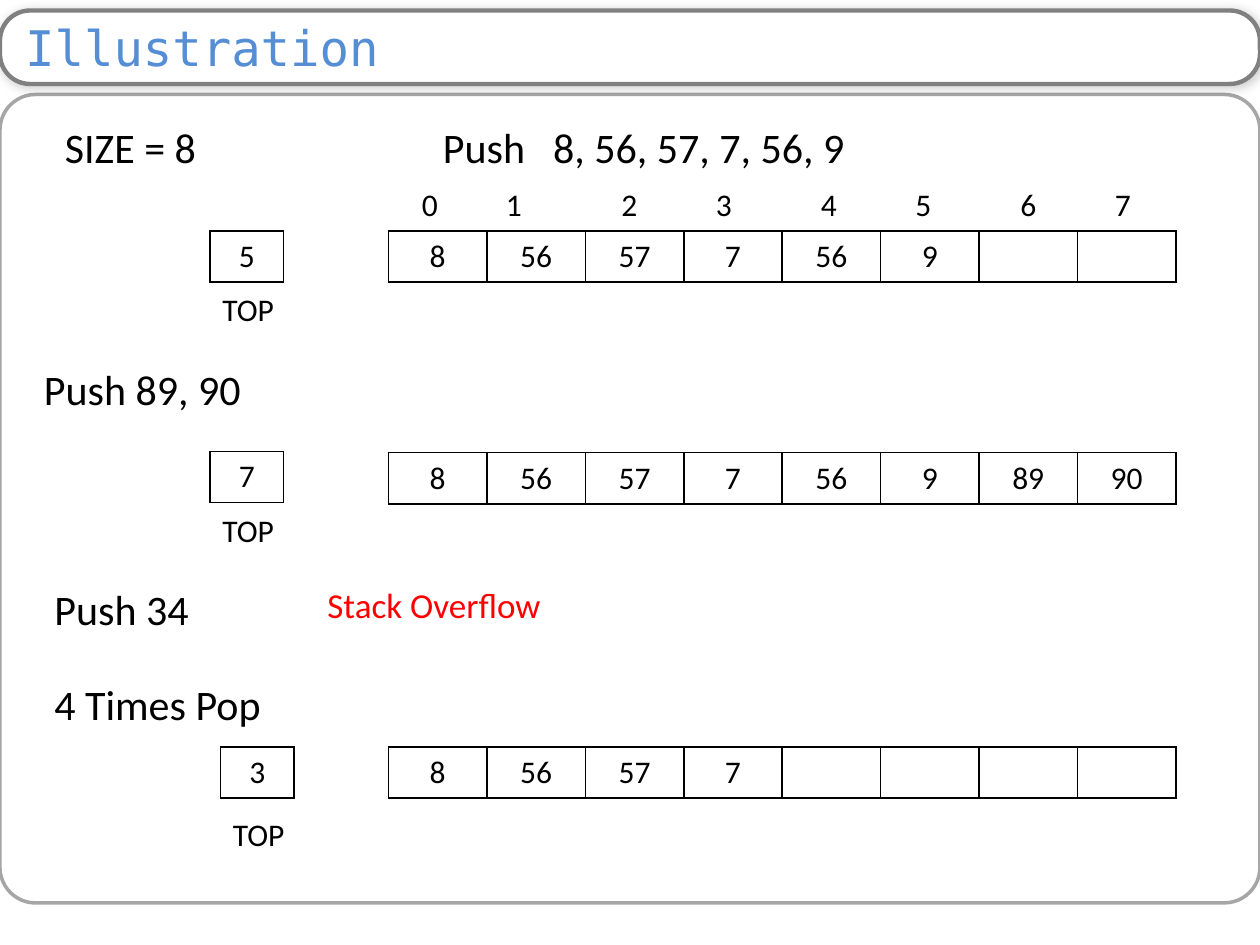
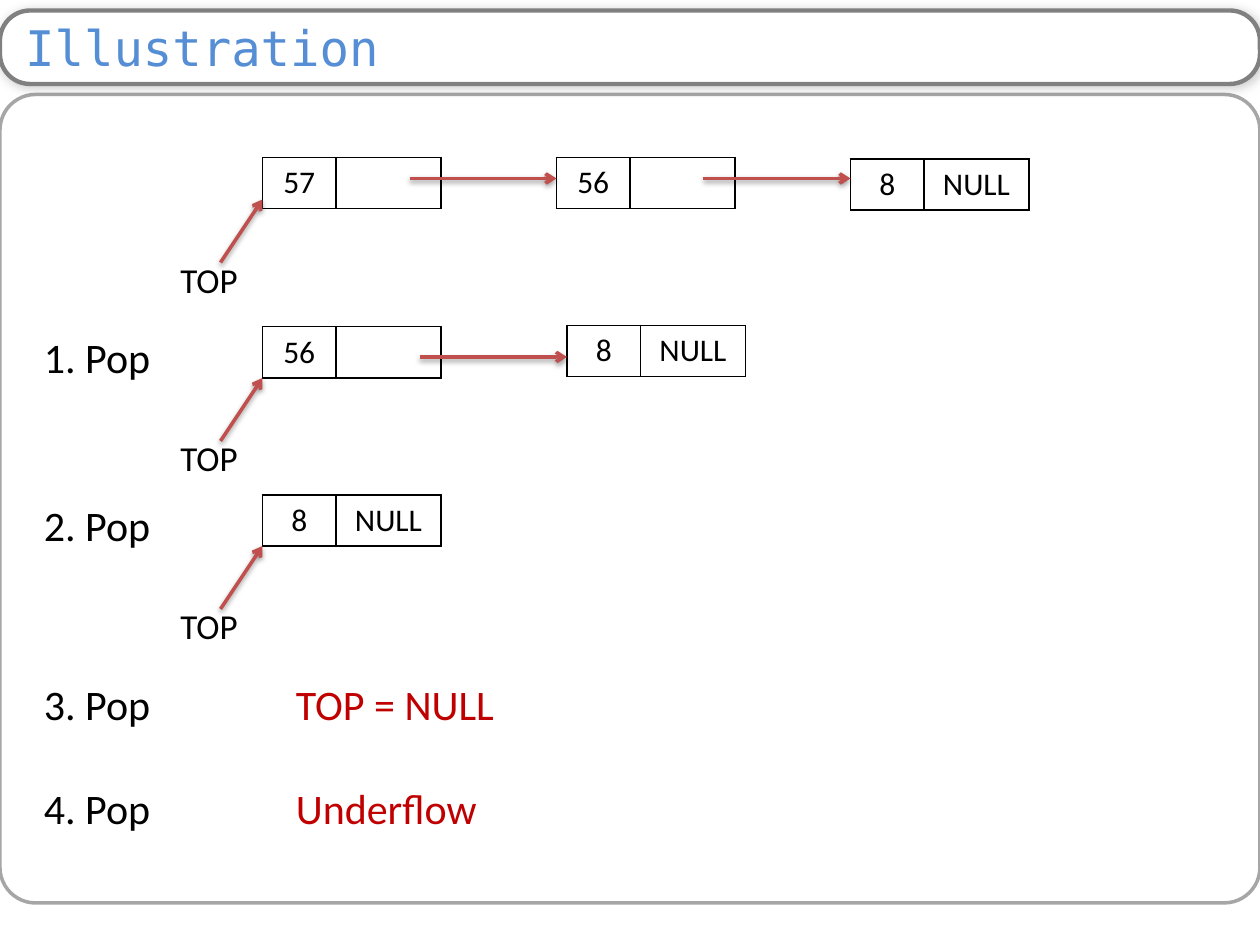
from dataclasses import dataclass
from typing import NamedTuple

from lxml import etree
from pptx import Presentation
from pptx.dml.color import RGBColor
from pptx.enum.shapes import MSO_CONNECTOR, MSO_SHAPE
from pptx.enum.text import MSO_ANCHOR, MSO_AUTO_SIZE, PP_ALIGN
from pptx.oxml.ns import qn
from pptx.util import Pt

ROUNDED = MSO_SHAPE.ROUNDED_RECTANGLE
STRAIGHT = MSO_CONNECTOR.STRAIGHT
MIDDLE = MSO_ANCHOR.MIDDLE
LEFT, CENTER = PP_ALIGN.LEFT, PP_ALIGN.CENTER
NO_FIT, GROW = MSO_AUTO_SIZE.NONE, MSO_AUTO_SIZE.SHAPE_TO_FIT_TEXT

BLACK, WHITE = "000000", "FFFFFF"
TITLE_BLUE, BAR_GRAY, PANEL_GRAY = "558ED5", "808080", "A6A6A6"
ALERT_RED, RESULT_RED, ARROW_RED = "FF0000", "C00000", "C0504D"
BODY_FONT, TITLE_FONT = "Calibri", "DejaVu Sans Mono"

SLIDE_WIDTH, SLIDE_HEIGHT = 720, 540
TITLE_ONLY = 5
ROW_HEIGHT = 29.2
STACK_LEFT, STACK_SLOTS, SLOT_WIDTH = 222, 8, 56.25
VALUE_WIDTH, LINK_WIDTH = 42, 60
ARROW_LENGTH = 84


class Span(NamedTuple):
    text: str
    color: str = BLACK


class Shadow(NamedTuple):
    opacity: int
    blur: float
    distance: float
    angle: int


BAR_SHADOW = Shadow(20, 6, 1, 45)
ARROW_SHADOW = Shadow(38, 3.1, 1.6, 90)


@dataclass
class Note:
    left: float
    top: float
    width: float
    spans: list[Span]
    size: int = 24
    tabs: tuple[float, ...] = ()
    wrap: bool = True


@dataclass
class StackState:
    values: list[str]
    top: float
    index: str
    index_left: float
    index_top: float
    label_top: float


class Node(NamedTuple):
    value: str
    link: str
    left: float
    top: float


@dataclass
class Chain:
    tip: float
    nodes: list[Node]


INDEX_LEFTS = (234, 282, 348, 402, 462, 516, 576, 630)

STACK_STATES = [
    StackState(["8", "56", "57", "7", "56", "9"], 132, "5", 120, 132, 162),
    StackState(["8", "56", "57", "7", "56", "9", "89", "90"],
               258.7, "7", 120, 257.9, 288.7),
    StackState(["8", "56", "57", "7"], 426.8, "3", 126, 426.8, 462),
]

STACK_NOTES = [
    Note(30, 66, 648, [Span("SIZE = 8\tPush\t8, 56, 57, 7, 56, 9")],
         tabs=(216, 279)),
    Note(18, 204, 144, [Span("Push 89, 90")]),
    Note(24, 330, 108, [Span("Push 34")]),
    Note(180, 330, 288, [Span("Stack Overflow", ALERT_RED)], size=20),
    Note(24, 384, 186, [Span("4 Times Pop")]),
]

CHAINS = [
    Chain(114, [Node("57", "", 150, 90), Node("56", "", 318, 90),
                Node("8", "NULL", 486, 90.8)]),
    Chain(216, [Node("56", "", 150, 186.7), Node("8", "NULL", 324, 185.9)]),
    Chain(312, [Node("8", "NULL", 150, 282.8)]),
]

POP_NOTES = [
    Note(18, 186, 120, [Span("1. Pop")]),
    Note(18, 282, 120, [Span("2. Pop")]),
    Note(18, 384, 396, [Span("3. Pop\t"), Span("TOP = NULL", RESULT_RED)],
         tabs=(144,)),
    Note(18, 443.5, 396, [Span("4. Pop\t"), Span("Underflow", RESULT_RED)],
         tabs=(144,)),
]


def rgb(color: str) -> RGBColor:
    return RGBColor.from_string(color)


def style_run(run, size: float, color: str, font: str = BODY_FONT) -> None:
    run.font.name = font
    run.font.size = Pt(size)
    run.font.color.rgb = rgb(color)


def set_shadow(shape, shadow: Shadow) -> None:
    properties = shape._element.spPr
    effects = properties.find(qn("a:effectLst"))
    if effects is None:
        effects = etree.SubElement(properties, qn("a:effectLst"))
    outer = etree.SubElement(
        effects, qn("a:outerShdw"), blurRad=str(Pt(shadow.blur)),
        dist=str(Pt(shadow.distance)), dir=str(shadow.angle * 60000),
        algn="tl", rotWithShape="0")
    color = etree.SubElement(outer, qn("a:srgbClr"), val=BLACK)
    etree.SubElement(color, qn("a:alpha"), val=str(shadow.opacity * 1000))


def add_frame(page, top: float, height: float, rounding: float,
              color: str, weight: float):
    frame = page.shapes.add_shape(ROUNDED, Pt(0), Pt(top),
                                  Pt(SLIDE_WIDTH), Pt(height))
    frame.adjustments[0] = rounding
    frame.shadow.inherit = False
    frame.fill.background()
    frame.line.color.rgb = rgb(color)
    frame.line.width = Pt(weight)
    return frame


def add_page(deck, heading: str):
    page = deck.slides.add_slide(deck.slide_layouts[TITLE_ONLY])
    add_frame(page, 54, 462, 0.044, PANEL_GRAY, 2)
    bar = add_frame(page, 6, 42, 0.409, BAR_GRAY, 2.5)
    bar.fill.solid()
    bar.fill.fore_color.rgb = rgb(WHITE)
    set_shadow(bar, BAR_SHADOW)

    # Title placeholder lies over the bar
    title = page.shapes.title
    page.shapes._spTree.append(title._element)
    title.left, title.top = bar.left, bar.top
    title.width, title.height = bar.width, bar.height
    frame = title.text_frame
    frame.text = heading
    frame.auto_size = NO_FIT
    frame.vertical_anchor = MIDDLE
    frame.margin_left, frame.margin_right = Pt(14.4), Pt(7.2)
    frame.margin_top = frame.margin_bottom = Pt(0)
    frame.paragraphs[0].alignment = LEFT
    style_run(frame.paragraphs[0].runs[0], 28, TITLE_BLUE, TITLE_FONT)
    return page


def add_note(shapes, note: Note) -> None:
    box = shapes.add_textbox(Pt(note.left), Pt(note.top), Pt(note.width),
                             Pt(1.2 * note.size + 7.2))
    frame = box.text_frame
    frame.word_wrap = note.wrap
    frame.auto_size = GROW
    para = frame.paragraphs[0]
    for span in note.spans:
        run = para.add_run()
        run.text = span.text
        style_run(run, note.size, span.color)
    if note.tabs:
        stops = etree.SubElement(para._p.get_or_add_pPr(), qn("a:tabLst"))
        for position in note.tabs:
            etree.SubElement(stops, qn("a:tab"), pos=str(Pt(position)), algn="l")


def set_borders(cell) -> None:
    properties = cell._tc.get_or_add_tcPr()
    for position, side in enumerate(("a:lnL", "a:lnR", "a:lnT", "a:lnB")):
        line = etree.Element(qn(side), w=str(Pt(1)))
        fill = etree.SubElement(line, qn("a:solidFill"))
        etree.SubElement(fill, qn("a:srgbClr"), val=BLACK)
        properties.insert(position, line)


def add_cells(page, left: float, top: float, values: list[str],
              widths: list[float]) -> None:
    table = page.shapes.add_table(1, len(widths), Pt(left), Pt(top),
                                  Pt(sum(widths)), Pt(ROW_HEIGHT)).table
    table.first_row = table.horz_banding = False
    for column, width, value in zip(table.columns, widths, values):
        column.width = Pt(width)
    for cell, value in zip(table.rows[0].cells, values):
        cell.fill.background()
        set_borders(cell)
        para = cell.text_frame.paragraphs[0]
        para.alignment = CENTER
        if value:
            para.text = value
            style_run(para.runs[0], 18, BLACK)


def add_arrow(shapes, x1: float, y1: float, x2: float, y2: float) -> None:
    arrow = shapes.add_connector(STRAIGHT, Pt(x1), Pt(y1), Pt(x2), Pt(y2))
    arrow.line.color.rgb = rgb(ARROW_RED)
    arrow.line.width = Pt(2)
    etree.SubElement(arrow.line._get_or_add_ln(), qn("a:tailEnd"), type="arrow")
    set_shadow(arrow, ARROW_SHADOW)


def add_stack(page, state: StackState) -> None:
    values = state.values + [""] * (STACK_SLOTS - len(state.values))
    add_cells(page, STACK_LEFT, state.top, values, [SLOT_WIDTH] * STACK_SLOTS)
    add_cells(page, state.index_left, state.index_top, [state.index],
              [VALUE_WIDTH])
    add_note(page.shapes, Note(state.index_left, state.label_top, 54,
                               [Span("TOP")], size=18))


def add_chain(page, chain: Chain) -> None:
    for node in chain.nodes:
        add_cells(page, node.left, node.top, [node.value, node.link],
                  [VALUE_WIDTH, LINK_WIDTH])
    for target in chain.nodes[1:]:
        height = chain.tip - 12
        add_arrow(page.shapes, target.left - ARROW_LENGTH, height,
                  target.left, height)
    # TOP pointer with its label
    pointer = page.shapes.add_group_shape().shapes
    head = chain.nodes[0].left
    add_arrow(pointer, head - 24, chain.tip + 36, head, chain.tip)
    add_note(pointer, Note(head - 54, chain.tip + 30, 102, [Span("TOP")], size=20))


def main() -> None:
    deck = Presentation()
    deck.slide_width, deck.slide_height = Pt(SLIDE_WIDTH), Pt(SLIDE_HEIGHT)

    # Stack held in an array
    page = add_page(deck, "Illustration")
    for state in STACK_STATES:
        add_stack(page, state)
    for note in STACK_NOTES:
        add_note(page.shapes, note)
    for index, left in enumerate(INDEX_LEFTS):
        add_note(page.shapes, Note(left, 102, 24, [Span(str(index))],
                                   size=18, wrap=False))

    # Stack held in a linked list
    page = add_page(deck, "Illustration")
    for chain in CHAINS:
        add_chain(page, chain)
    for note in POP_NOTES:
        add_note(page.shapes, note)

    deck.save("out.pptx")


if __name__ == "__main__":
    main()
